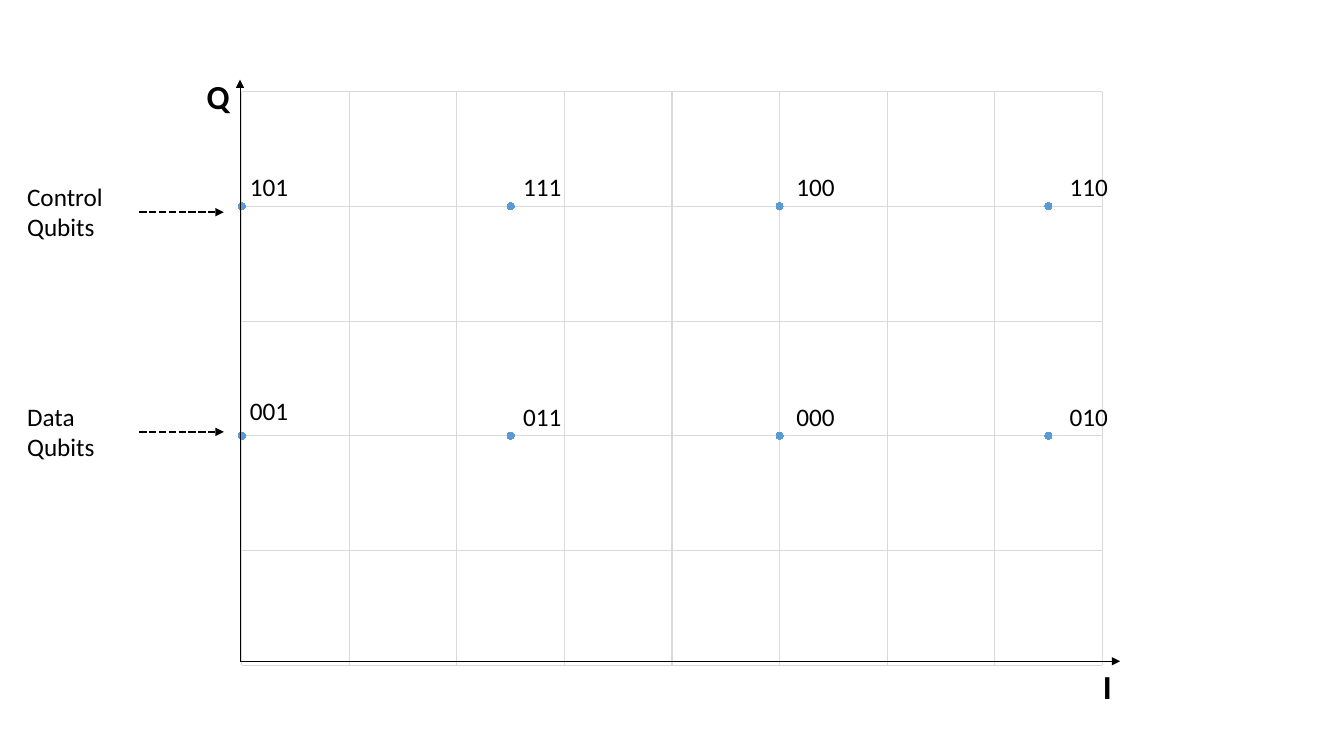
from pptx import Presentation
from pptx.chart.data import XyChartData
from pptx.dml.color import RGBColor
from pptx.enum.chart import XL_CHART_TYPE, XL_MARKER_STYLE
from pptx.enum.dml import MSO_LINE
from pptx.oxml import parse_xml
from pptx.oxml.ns import nsdecls, qn
from pptx.util import Inches, Pt

SCATTER = XL_CHART_TYPE.XY_SCATTER
CIRCLE = XL_MARKER_STYLE.CIRCLE
DASH = MSO_LINE.SQUARE_DOT

THEME = {
    "font": "Calibri",
    "ink": RGBColor(0x00, 0x00, 0x00),
    "grid": RGBColor(0xD9, 0xD9, 0xD9),
    "dot": RGBColor(0x5B, 0x9B, 0xD5),
    "axis_size": 24,
    "text_size": 18,
    "chart_size": 10,
    "dot_size": 5,
    "axis_line": 0.5,
    "grid_line": 0.75,
    "dash_line": 1.75,
}

# Content: name, I/Q level, name top, then codes from left to right
ROWS = [
    ("Data Qubits", 50, 3.93, ("001", "011", "000", "010")),
    ("Control Qubits", 100, 1.75, ("101", "111", "100", "110")),
]
PHASES = (0, 0.25, 0.5, 0.75)
CODE_TOPS = {50: 3.93, 100: 1.65}
CODE_LIFT = {"001": 0.06}
AXES = [("Q", 1.95, 0.7), ("I", 10.84, 6.56)]

# Geometry in inches
WIDE, HIGH = 13.33, 7.5
CHART = (2.22, 0.79, 8.89, 5.93)
PLOT = {"x": 0.02, "y": 0.02, "w": 0.96, "h": 0.96}  # shares of the chart
ORIGIN = (2.38, 6.56)
CODE_LEFT, CODE_STEP = 2.38, 2.71
NAME_LEFT, NAME_WIDE, NAME_HIGH = 0.17, 1.21, 0.71


def add_text(slide, text, box, size, bold=False):
    """Add a wrapped text box with one paragraph."""
    frame = slide.shapes.add_textbox(*map(Inches, box)).text_frame
    frame.word_wrap = True
    frame.text = text
    font = frame.paragraphs[0].runs[0].font
    font.name, font.size, font.bold = THEME["font"], Pt(size), bold
    font.color.rgb = THEME["ink"]


def add_arrow(slide, start, end, width, dash=None):
    """Add a straight line with a triangle at its end."""
    arrow = slide.shapes.add_connector(1, *map(Inches, start + end))
    arrow.line.color.rgb = THEME["ink"]
    arrow.line.width = Pt(width)
    if dash:
        arrow.line.dash_style = dash
    props = arrow._element.spPr
    props.find(qn("a:ln")).append(
        parse_xml(f'<a:tailEnd {nsdecls("a")} type="triangle"/>'))
    props.append(parse_xml(f'<a:effectLst {nsdecls("a")}/>'))


def set_axis(axis, top, step):
    """Hide an axis but keep its grid lines."""
    axis.minimum_scale, axis.maximum_scale, axis.major_unit = 0, top, step
    axis.has_major_gridlines = True
    line = axis.major_gridlines.format.line
    line.color.rgb, line.width = THEME["grid"], Pt(THEME["grid_line"])
    axis.visible = False


def set_plot(chart):
    """Fix the inner plot area as shares of the chart."""
    area = chart._chartSpace.chart.plotArea
    for old in area.findall(qn("c:layout")):
        area.remove(old)
    modes = "".join(f'<c:{key}Mode val="edge"/>' for key in "xy")
    sizes = "".join(f'<c:{key} val="{val}"/>' for key, val in PLOT.items())
    area.insert(0, parse_xml(
        f'<c:layout {nsdecls("c")}><c:manualLayout>'
        f'<c:layoutTarget val="inner"/>{modes}{sizes}'
        f'</c:manualLayout></c:layout>'))


def add_dots(slide):
    """Add the scatter chart with one dot per code."""
    data = XyChartData()
    points = data.add_series("Series 1")
    for _, level, _, _ in ROWS:
        for phase in PHASES:
            points.add_data_point(phase, level)
    chart = slide.shapes.add_chart(
        SCATTER, *map(Inches, CHART), data).chart
    chart.has_title = chart.has_legend = False
    chart.font.name = THEME["font"]
    chart.font.size = Pt(THEME["chart_size"])
    chart.font.color.rgb = THEME["ink"]
    chart.plots[0].vary_by_categories = False
    set_axis(chart.category_axis, 0.8, 0.1)
    set_axis(chart.value_axis, 125, 25)
    set_plot(chart)
    series = chart.plots[0].series[0]
    series.smooth = False
    series.format.line.fill.background()
    marker = series.marker
    marker.style, marker.size = CIRCLE, THEME["dot_size"]
    marker.format.fill.solid()
    marker.format.fill.fore_color.rgb = THEME["dot"]
    marker.format.line.color.rgb = THEME["dot"]


def add_row(slide, name, level, top, codes):
    """Add a row's name, its dashed arrow and its codes."""
    add_text(slide, name, (NAME_LEFT, top, NAME_WIDE, NAME_HIGH),
             THEME["text_size"])
    left, mid = NAME_LEFT + NAME_WIDE, top + NAME_HIGH / 2
    add_arrow(slide, (left, mid), (CHART[0], mid), THEME["dash_line"], DASH)
    for col, code in enumerate(codes):
        high = CODE_TOPS[level] - CODE_LIFT.get(code, 0)
        add_text(slide, code, (CODE_LEFT + col * CODE_STEP, high, 1.22, 0.4),
                 THEME["text_size"])


def main():
    """Build the slide and save it."""
    deck = Presentation()
    deck.slide_width, deck.slide_height = Inches(WIDE), Inches(HIGH)
    slide = deck.slides.add_slide(deck.slide_layouts[6])
    add_dots(slide)
    for end in ((ORIGIN[0], CHART[1]), (CHART[0] + CHART[2], ORIGIN[1])):
        add_arrow(slide, ORIGIN, end, THEME["axis_line"])
    for name, left, top in AXES:
        add_text(slide, name, (left, top, 0.55, 0.5), THEME["axis_size"], True)
    for row in ROWS:
        add_row(slide, *row)
    deck.save("out.pptx")


main()
